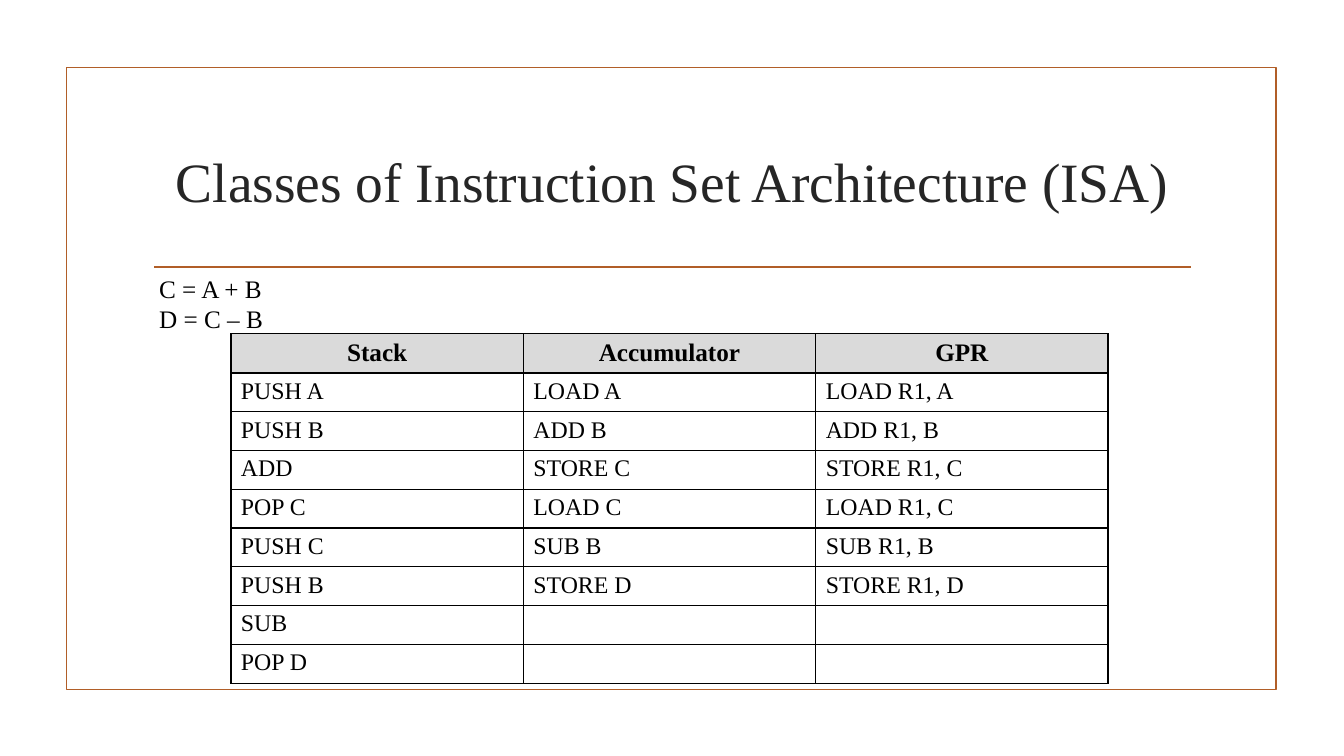
from lxml import etree
from pptx import Presentation
from pptx.dml.color import RGBColor
from pptx.enum.shapes import MSO_CONNECTOR, MSO_SHAPE
from pptx.enum.text import MSO_ANCHOR, PP_ALIGN
from pptx.oxml.ns import qn
from pptx.util import Inches, Pt

# Content
TITLE = "Classes of Instruction Set Architecture (ISA)"
EQUATIONS = ["C = A + B", "D = C – B"]
PROGRAMS = {
    "Stack": ["PUSH A", "PUSH B", "ADD", "POP C", "PUSH C", "PUSH B", "SUB", "POP D"],
    "Accumulator": ["LOAD A", "ADD B", "STORE C", "LOAD C", "SUB B", "STORE D"],
    "GPR": ["LOAD R1, A", "ADD R1, B", "STORE R1, C", "LOAD R1, C", "SUB R1, B",
            "STORE R1, D"],
}

# Style
FONT = "Times New Roman"
RUST = RGBColor(0xB1, 0x5E, 0x28)
CHARCOAL = RGBColor(0x26, 0x26, 0x26)
BLACK = RGBColor(0, 0, 0)
HEADER_GREY = RGBColor(0xDA, 0xDA, 0xDA)
LEFT, CENTER = PP_ALIGN.LEFT, PP_ALIGN.CENTER
TOP, MIDDLE = MSO_ANCHOR.TOP, MSO_ANCHOR.MIDDLE
RULE_WIDTH = Pt(1.25)

# Table geometry in inches
COLUMN_WIDTH, HEADER_HEIGHT, ROW_HEIGHT = 2.9, 0.39, 0.385


def write(frame, lines, size, color=BLACK, bold=False, align=LEFT):
    for i, line in enumerate(lines):
        paragraph = frame.paragraphs[0] if i == 0 else frame.add_paragraph()
        paragraph.alignment = align
        run = paragraph.add_run()
        run.text = line
        run.font.name = FONT
        run.font.size = Pt(size)
        run.font.bold = bold
        run.font.color.rgb = color


def add_text(slide, box, lines, size, anchor=TOP, **style):
    frame = slide.shapes.add_textbox(*map(Inches, box)).text_frame
    frame.word_wrap = True
    frame.vertical_anchor = anchor
    write(frame, lines, size, **style)


def add_borders(cell):
    properties = cell._tc.get_or_add_tcPr()
    for side in ("a:lnL", "a:lnR", "a:lnT", "a:lnB"):
        line = etree.SubElement(properties, qn(side), w=str(Pt(1)))
        fill = etree.SubElement(line, qn("a:solidFill"))
        etree.SubElement(fill, qn("a:srgbClr"), val=str(BLACK))


def add_program_table(slide):
    row_count = 1 + max(map(len, PROGRAMS.values()))
    height = HEADER_HEIGHT + ROW_HEIGHT * (row_count - 1)
    table = slide.shapes.add_table(
        row_count, len(PROGRAMS), Inches(2.29), Inches(3.31),
        Inches(COLUMN_WIDTH * len(PROGRAMS)), Inches(height)).table
    table.horz_banding = False
    for r, row in enumerate(table.rows):
        row.height = Inches(ROW_HEIGHT if r else HEADER_HEIGHT)
    for c, (machine, instructions) in enumerate(PROGRAMS.items()):
        table.columns[c].width = Inches(COLUMN_WIDTH)
        padding = [""] * (row_count - 1 - len(instructions))
        for r, text in enumerate([machine] + instructions + padding):
            cell = table.cell(r, c)
            add_borders(cell)
            if r == 0:
                cell.fill.solid()
                cell.fill.fore_color.rgb = HEADER_GREY
                write(cell.text_frame, [text], 18, bold=True, align=CENTER)
            else:
                cell.fill.background()
                write(cell.text_frame, [text], 17)


def main():
    deck = Presentation()
    deck.slide_width, deck.slide_height = Inches(13.33), Inches(7.5)
    slide = deck.slides.add_slide(deck.slide_layouts[6])

    # Frame and title rule
    border = slide.shapes.add_shape(
        MSO_SHAPE.RECTANGLE, Inches(0.66), Inches(0.67), Inches(12), Inches(6.17))
    border.shadow.inherit = False
    border.fill.background()
    title_rule = slide.shapes.add_connector(
        MSO_CONNECTOR.STRAIGHT, Inches(1.53), Inches(2.65), Inches(11.81), Inches(2.65))
    etree.SubElement(title_rule._element.spPr, qn("a:effectLst"))
    for outlined in (border, title_rule):
        outlined.line.color.rgb = RUST
        outlined.line.width = RULE_WIDTH

    # Table, title and equations
    add_program_table(slide)
    add_text(slide, (1.42, 1.07, 10.5, 1.43), [TITLE], 39.6,
             anchor=MIDDLE, color=CHARCOAL, align=CENTER)
    add_text(slide, (1.48, 2.66, 1.81, 0.71), EQUATIONS, 18)

    deck.save("out.pptx")


if __name__ == "__main__":
    main()
